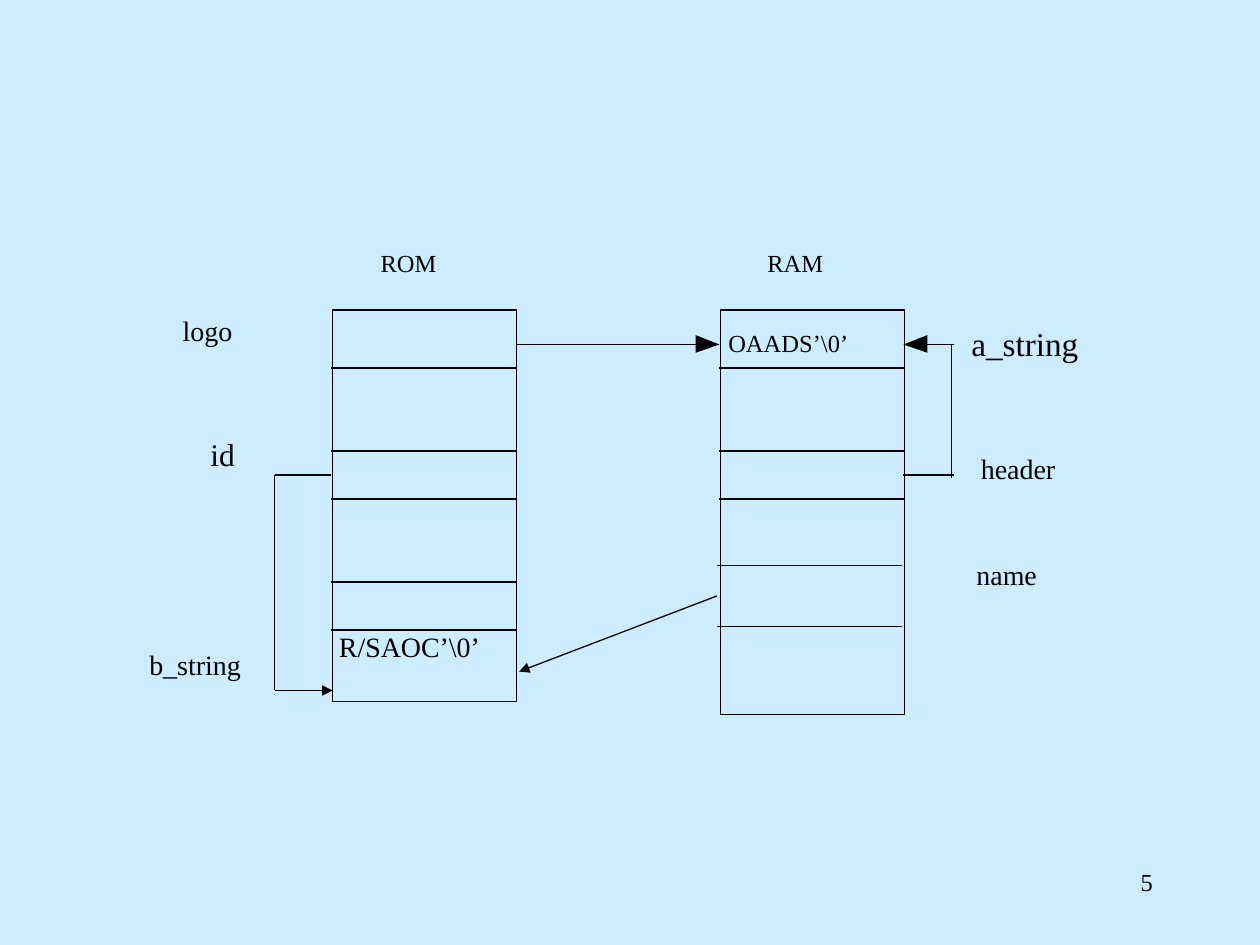
"""Draw the ROM and RAM layout of the string pointers on one slide."""
from lxml.etree import SubElement
from pptx import Presentation
from pptx.dml.color import RGBColor
from pptx.enum.shapes import MSO_CONNECTOR, MSO_SHAPE
from pptx.enum.text import MSO_ANCHOR, PP_ALIGN
from pptx.oxml.ns import qn
from pptx.util import Inches, Pt

COLORS = {"background": "CCECFF", "ink": "000000"}
FONT = "Times New Roman"

deck = Presentation()
deck.slide_width, deck.slide_height = Inches(10), Inches(7.5)
column, row = deck.slide_width / 100, deck.slide_height / 75
ink = RGBColor.from_string(COLORS["ink"])
slide = deck.slides.add_slide(deck.slide_layouts[6])
slide.background.fill.solid()
slide.background.fill.fore_color.rgb = RGBColor.from_string(COLORS["background"])


def add_text(text, *, left, top, width, height, size=16, align=PP_ALIGN.LEFT):
    label = slide.shapes.add_textbox(
        int(left * column), int(top * row), int(width * column), int(height * row))
    frame = label.text_frame
    frame.word_wrap = True
    frame.vertical_anchor = MSO_ANCHOR.TOP
    frame.margin_left = frame.margin_right = frame.margin_top = frame.margin_bottom = 0
    paragraph = frame.paragraphs[0]
    paragraph.alignment = align
    run = paragraph.add_run()
    run.text = text
    run.font.name, run.font.size, run.font.color.rgb = FONT, Pt(size), ink


def add_line(x1, y1, x2, y2, weight=0.88, arrow=False):
    line = slide.shapes.add_connector(
        MSO_CONNECTOR.STRAIGHT,
        int(x1 * column), int(y1 * row), int(x2 * column), int(y2 * row))
    line.line.color.rgb, line.line.width = ink, Pt(weight)
    properties = line._element.spPr
    if arrow:
        SubElement(properties.find(qn("a:ln")), qn("a:tailEnd"), type="triangle")
    SubElement(properties, qn("a:effectLst"))


memories = [
    ("ROM", 26.4, 31.1, 30.2, [(26.3, 29.2, 0.88), (26.3, 35.8, 0.88), (26.3, 39.6, 0.88),
                               (26.3, 46.2, 0.88), (26.3, 50, 0.88)]),
    ("RAM", 57.2, 32.1, 60.9, [(57.1, 29.2, 0.88), (57.1, 35.8, 0.88), (57.1, 39.6, 0.88),
                               (56.9, 44.9, 0.75), (56.9, 49.7, 0.75)]),
]
for title, left, height, title_left, dividers in memories:
    memory = slide.shapes.add_shape(
        MSO_SHAPE.RECTANGLE,
        int(left * column), int(24.6 * row), int(14.6 * column), int(height * row))
    memory.shadow.inherit = False
    memory.fill.background()
    memory.line.color.rgb, memory.line.width = ink, Pt(0.88)
    add_text(title, left=title_left, top=19.7, width=5.2, height=2.3, size=14)
    for start, level, weight in dividers:
        add_line(start, level, start + 14.7, level, weight)

pointers = [
    (41, 27.35, 56.1, 27.35, 0.88, False),
    (71.7, 37.7, 75.7, 37.7, 0.88, False),
    (75.5, 37.9, 75.5, 27.3, 0.88, False),
    (75.7, 27.35, 72.7, 27.35, 0.88, False),
    (56.9, 47.3, 41.2, 53.3, 0.75, True),
    (26.3, 37.7, 21.8, 37.7, 0.75, False),
    (21.8, 37.7, 21.8, 54.8, 0.75, False),
    (21.8, 54.8, 26.4, 54.8, 0.75, True),
]
for pointer in pointers:
    add_line(*pointer)

for tip, base in [(57.1, 55.2), (71.7, 73.6)]:
    outline = slide.shapes.build_freeform(int(tip * column), int(27.35 * row))
    outline.add_line_segments(
        [(int(base * column), int(edge * row)) for edge in (26.6, 28)], close=True)
    arrowhead = outline.convert_to_shape()
    arrowhead.shadow.inherit = False
    arrowhead.fill.solid()
    arrowhead.fill.fore_color.rgb = ink
    arrowhead.line.fill.background()

labels = [
    ("logo", 14.5, 24.9, 4.6, 2.7, 16),
    ("id", 16.7, 34.5, 2.6, 3, 18),
    ("b_string", 11.85, 51.4, 8, 2.7, 16),
    ("R/SAOC’\\0’", 26.9, 50, 12.2, 2.7, 16),
    ("OAADS’\\0’", 57.8, 26, 10.5, 2.3, 14),
    ("a_string", 77.1, 25.65, 9.4, 3.2, 19),
    ("header", 77.85, 35.85, 6.7, 2.7, 16),
    ("name", 77.5, 44.25, 5.6, 2.7, 16),
]
for text, left, top, width, height, size in labels:
    add_text(text, left=left, top=top, width=width, height=height, size=size)

add_text("5", left=72.7, top=68.8, width=18.8, height=4, size=14, align=PP_ALIGN.RIGHT)

deck.save("out.pptx")
